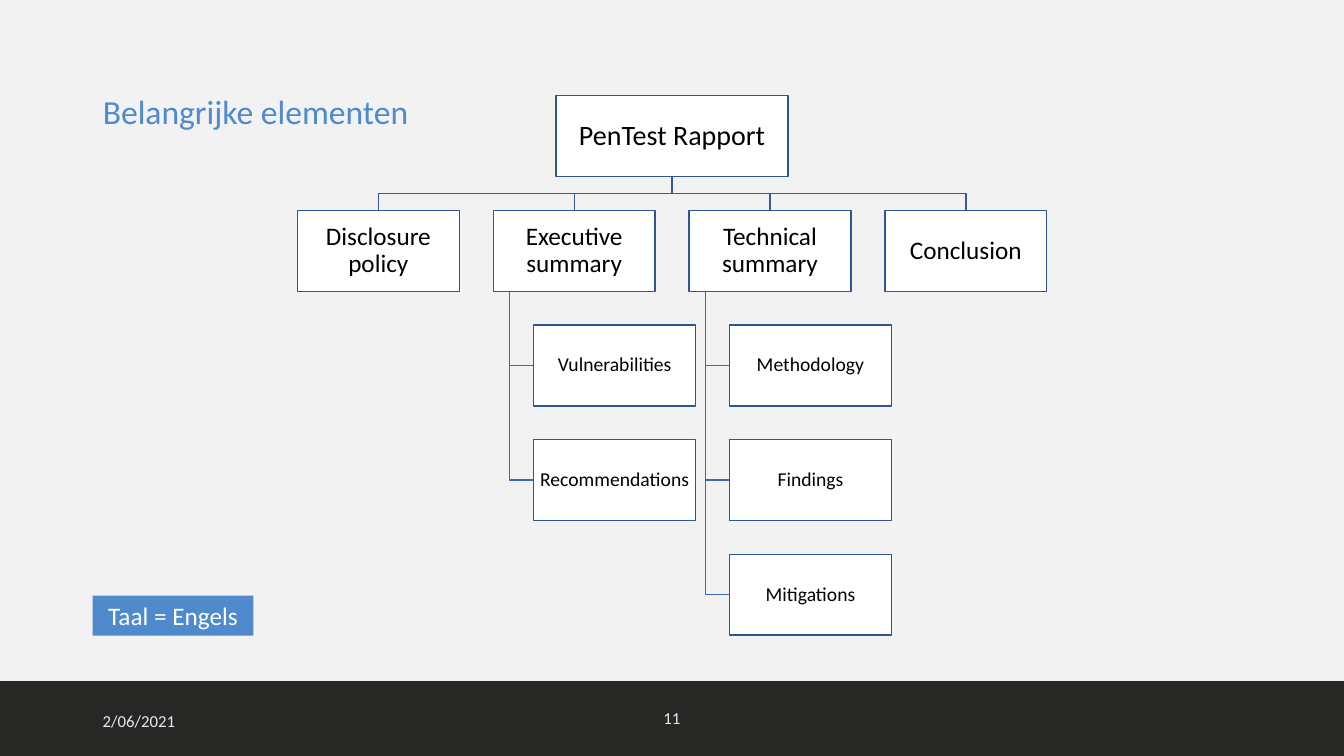
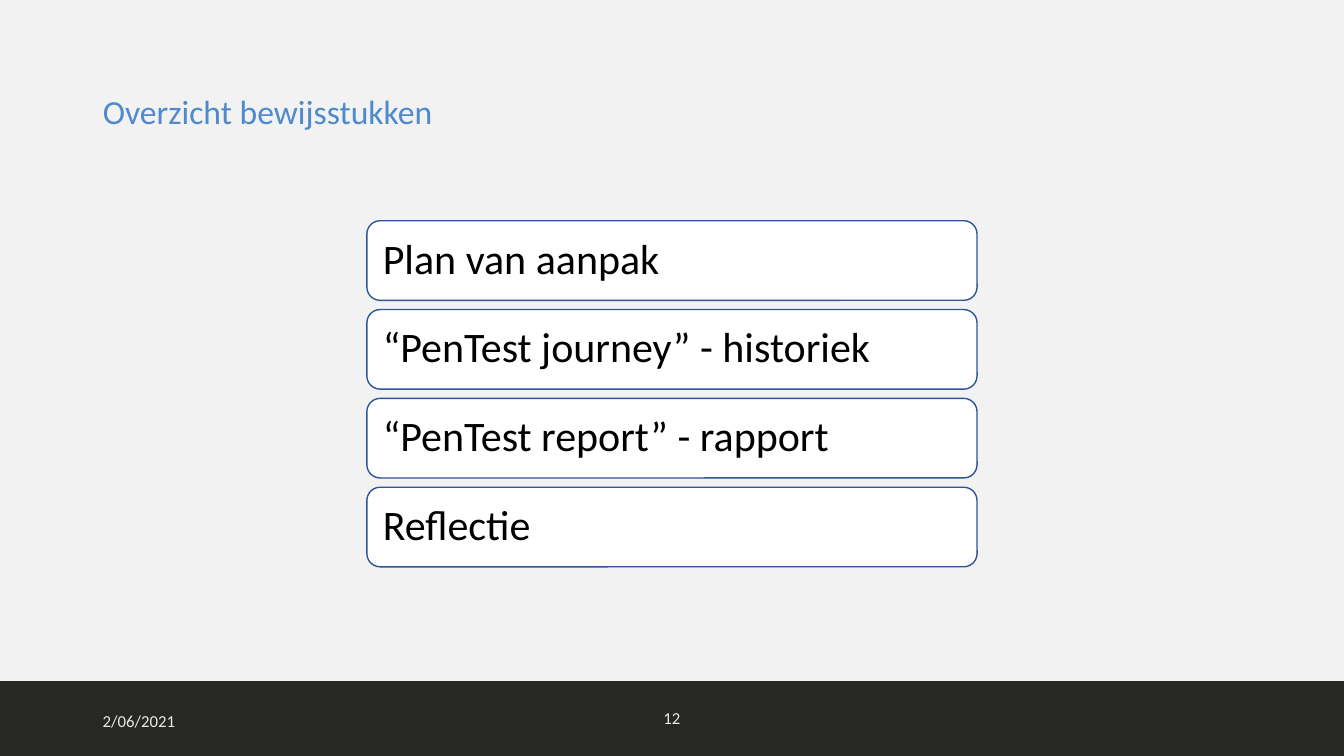
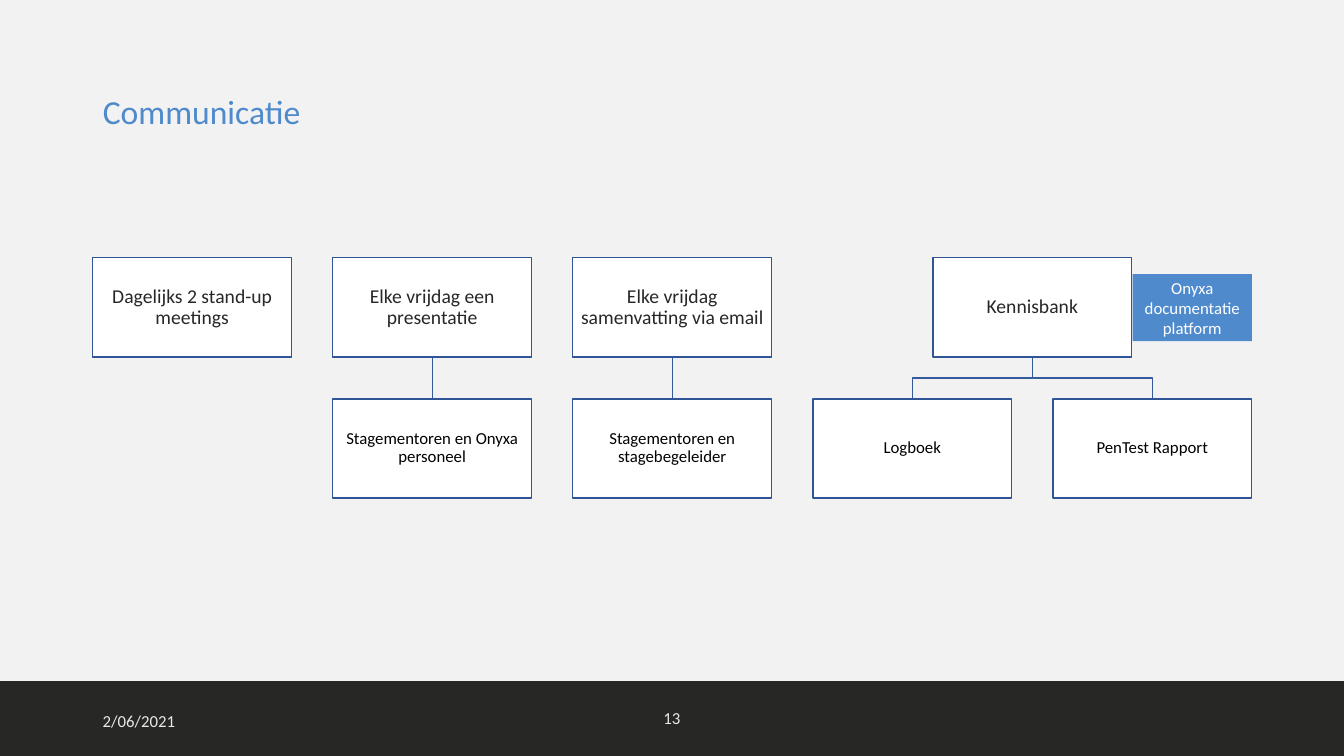
from dataclasses import dataclass

import lxml.etree
import pptx
import pptx.dml.color
import pptx.enum.shapes
import pptx.enum.text
import pptx.oxml.ns
import pptx.util

SHAPE = pptx.enum.shapes.MSO_SHAPE
ALIGN = pptx.enum.text.PP_ALIGN
MIDDLE = pptx.enum.text.MSO_ANCHOR.MIDDLE


@dataclass(frozen=True)
class Theme:
    font: str = "Calibri"
    background: str = "F2F2F2"
    band: str = "272726"
    footer: str = "EBE8E8"
    accent: str = "4E8ACC"
    white: str = "FFFFFF"
    black: str = "000000"
    outline: str = "2F5597"
    main_link: str = "365B9D"
    side_link: str = "3E67B2"
    list_size: int = 30
    title_size: int = 24
    root_size: int = 20
    heading_size: int = 18
    detail_size: int = 14
    small_size: int = 12
    line_width: int = 1
    line_spacing: float = 0.9
    tight_inset: float = 0.01
    list_inset: float = 0.12


@dataclass(frozen=True)
class Frame:
    """A rectangle in percent of the slide's width and height."""
    left: float
    top: float
    width: float
    height: float

    @property
    def centre(self):
        return self.left + self.width / 2

    @property
    def middle(self):
        return self.top + self.height / 2

    @property
    def bottom(self):
        return self.top + self.height


@dataclass(frozen=True)
class Grid:
    """Equal cells, in percent of the slide, with a fixed step each way."""
    left: float
    top: float
    width: float
    height: float
    column_step: float
    row_step: float

    def cell(self, column, row):
        return Frame(self.left + column * self.column_step,
                     self.top + row * self.row_step, self.width, self.height)


TITLE = Frame(6.9, 5.33, 86.25, 19.33)
BAND = Frame(0, 90.1, 100, 9.9)
DATE = Frame(6.9, 92.67, 22.5, 5.33)
NUMBER = Frame(47.9, 92.27, 4.2, 5.33)


def color(value):
    return pptx.dml.color.RGBColor.from_string(value)


class Deck:
    def __init__(self, theme):
        self.theme = theme
        self.slide = None
        self.presentation = pptx.Presentation()
        self.presentation.slide_width = pptx.util.Inches(13.33)
        self.presentation.slide_height = pptx.util.Inches(7.5)
        background = self.presentation.slide_master.background.fill
        background.solid()
        background.fore_color.rgb = color(theme.background)
        self.layout = self.presentation.slide_layouts.get_by_name("Title Only")

    # Units
    def point(self, x, y):
        return (round(self.presentation.slide_width * x / 100),
                round(self.presentation.slide_height * y / 100))

    def bounds(self, frame):
        return (*self.point(frame.left, frame.top),
                *self.point(frame.width, frame.height))

    # Shared parts
    def start_slide(self, title, number):
        self.slide = self.presentation.slides.add_slide(self.layout)
        self.shape(BAND, self.theme.band)
        heading = self.slide.shapes.title
        heading.left, heading.top, heading.width, heading.height = self.bounds(TITLE)
        self.set_text(heading, title, self.theme.title_size, self.theme.accent,
                      ALIGN.LEFT, spacing=self.theme.line_spacing)
        self.footer(DATE, "2/06/2021", ALIGN.LEFT)
        self.footer(NUMBER, str(number), ALIGN.CENTER)

    def footer(self, frame, text, alignment):
        box = self.slide.shapes.add_textbox(*self.bounds(frame))
        self.set_text(box, text, self.theme.small_size, self.theme.footer, alignment)

    # Elements
    def set_text(self, shape, text, size, text_color, alignment=ALIGN.CENTER,
                 inset=None, spacing=None):
        frame = shape.text_frame
        frame.word_wrap = True
        frame.vertical_anchor = MIDDLE
        if inset is not None:
            frame.margin_left = frame.margin_right = pptx.util.Inches(inset)
            frame.margin_top = frame.margin_bottom = pptx.util.Inches(inset)
        frame.text = text
        paragraph = frame.paragraphs[0]
        paragraph.alignment = alignment
        if spacing:
            paragraph.line_spacing = spacing
        paragraph.font.name = self.theme.font
        paragraph.font.size = pptx.util.Pt(size)
        paragraph.font.color.rgb = color(text_color)

    def shape(self, frame, fill, line=None, kind=SHAPE.RECTANGLE):
        shape = self.slide.shapes.add_shape(kind, *self.bounds(frame))
        shape.shadow.inherit = False
        shape.fill.solid()
        shape.fill.fore_color.rgb = color(fill)
        if line:
            self.stroke(shape, line)
        else:
            shape.line.fill.background()
        return shape

    def stroke(self, shape, line):
        shape.line.color.rgb = color(line)
        shape.line.width = pptx.util.Pt(self.theme.line_width)

    def node(self, frame, text, size, text_color=None):
        box = self.shape(frame, self.theme.white, self.theme.outline)
        self.set_text(box, text, size, text_color or self.theme.black,
                      inset=self.theme.tight_inset, spacing=self.theme.line_spacing)

    def list_bar(self, frame, text):
        bar = self.shape(frame, self.theme.white, self.theme.outline,
                         SHAPE.ROUNDED_RECTANGLE)
        self.set_text(bar, text, self.theme.list_size, self.theme.black, ALIGN.LEFT,
                      self.theme.list_inset, self.theme.line_spacing)

    def tag(self, frame, text, size):
        self.set_text(self.shape(frame, self.theme.accent), text, size,
                      self.theme.white)

    def link_down(self, parent, child):
        """Join a parent's lower edge to a child's upper edge."""
        if abs(parent.centre - child.centre) < 0.01:
            connector = self.slide.shapes.add_connector(
                pptx.enum.shapes.MSO_CONNECTOR.STRAIGHT,
                *self.point(parent.centre, parent.bottom),
                *self.point(child.centre, child.top))
            properties = connector.element.find(pptx.oxml.ns.qn("p:spPr"))
            self.stroke(connector, self.theme.main_link)
            lxml.etree.SubElement(properties, pptx.oxml.ns.qn("a:effectLst"))
            return
        halfway = (parent.bottom + child.top) / 2
        self.bent_line([(parent.centre, parent.bottom), (parent.centre, halfway),
                        (child.centre, halfway), (child.centre, child.top)],
                       self.theme.main_link)

    def link_side(self, parent, child):
        """Join a stem under a parent to a child's left edge."""
        stem = parent.left + parent.width / 10
        self.bent_line([(stem, parent.bottom), (stem, child.middle),
                        (child.left, child.middle)], self.theme.side_link)

    def bent_line(self, corners, line):
        start, *rest = [self.point(*corner) for corner in corners]
        builder = self.slide.shapes.build_freeform(*start)
        builder.add_line_segments(rest, close=False)
        shape = builder.convert_to_shape()
        shape.shadow.inherit = False
        shape.fill.background()
        self.stroke(shape, line)


theme = Theme()
deck = Deck(theme)

# Report structure
deck.start_slide("Belangrijke elementen", 11)
report_grid = Grid(22.13, 12.67, 12.05, 10.71, 14.57, 15.16)
report_root = Frame(41.38, 12.67, 17.25, 10.71)
chapters = [
    ("Disclosure policy", []),
    ("Executive summary", ["Vulnerabilities", "Recommendations"]),
    ("Technical summary", ["Methodology", "Findings", "Mitigations"]),
    ("Conclusion", []),
]
section_indent = report_grid.width / 4 / report_grid.column_step
report_nodes = [(report_root, "PenTest Rapport", theme.root_size)]
for column, (chapter, sections) in enumerate(chapters):
    chapter_frame = report_grid.cell(column, 1)
    deck.link_down(report_root, chapter_frame)
    report_nodes.append((chapter_frame, chapter, theme.heading_size))
    for row, section in enumerate(sections, start=2):
        section_frame = report_grid.cell(column + section_indent, row)
        deck.link_side(chapter_frame, section_frame)
        report_nodes.append((section_frame, section, theme.detail_size))
for report_node in report_nodes:
    deck.node(*report_node)
deck.tag(Frame(6.9, 78.8, 11.95, 5.3), "Taal = Engels", theme.heading_size)

# List of evidence
deck.start_slide("Overzicht bewijsstukken", 12)
evidence_grid = Grid(27.3, 29.2, 45.4, 10.53, 0, 11.75)
evidence = ["Plan van aanpak", "“PenTest journey” - historiek",
            "“PenTest report” - rapport", "Reflectie"]
for row, item in enumerate(evidence):
    deck.list_bar(evidence_grid.cell(0, row), item)

# Communication channels, each with its column and the columns of its details
deck.start_slide("Communicatie", 13)
channel_grid = Grid(6.9, 34.1, 14.8, 13.11, 17.86, 18.66)
channels = [
    (0, "Dagelijks 2 stand-up meetings", {}),
    (1, "Elke vrijdag een presentatie", {1: "Stagementoren en Onyxa personeel"}),
    (2, "Elke vrijdag samenvatting via email", {2: "Stagementoren en stagebegeleider"}),
    (3.5, "Kennisbank", {3: "Logboek", 4: "PenTest Rapport"}),
]
for column, channel, details in channels:
    channel_frame = channel_grid.cell(column, 0)
    for detail_column, detail in details.items():
        detail_frame = channel_grid.cell(detail_column, 1)
        deck.link_down(channel_frame, detail_frame)
        deck.node(detail_frame, detail, theme.small_size)
    deck.node(channel_frame, channel, theme.detail_size, theme.band)
deck.tag(Frame(84.27, 36.27, 8.88, 8.85), "Onyxa documentatie platform", theme.small_size)

deck.presentation.save("out.pptx")
